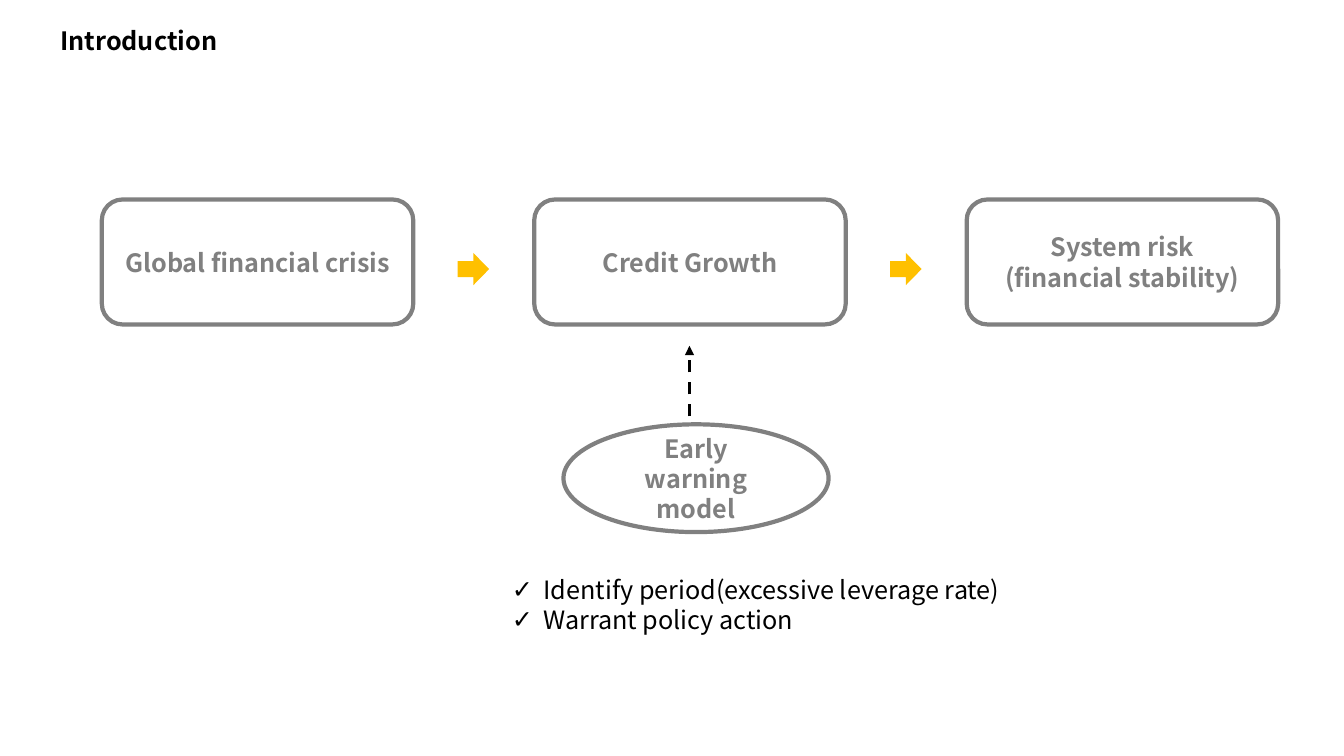
from dataclasses import dataclass

from lxml import etree
from pptx import Presentation
from pptx.dml.color import RGBColor
from pptx.enum.dml import MSO_LINE
from pptx.enum.shapes import MSO_CONNECTOR, MSO_SHAPE
from pptx.enum.text import MSO_ANCHOR, PP_ALIGN
from pptx.oxml.ns import qn
from pptx.util import Pt

ROUNDED, OVAL, ARROW = MSO_SHAPE.ROUNDED_RECTANGLE, MSO_SHAPE.OVAL, MSO_SHAPE.RIGHT_ARROW
STRAIGHT, DASH = MSO_CONNECTOR.STRAIGHT, MSO_LINE.DASH
LEFT, CENTER = PP_ALIGN.LEFT, PP_ALIGN.CENTER
TOP, MIDDLE = MSO_ANCHOR.TOP, MSO_ANCHOR.MIDDLE


@dataclass(frozen=True)
class Theme:
    font: str = "Noto Sans CJK KR"
    size: float = 18
    ink: RGBColor = RGBColor(0, 0, 0)
    frame: RGBColor = RGBColor(0x80, 0x80, 0x80)
    accent: RGBColor = RGBColor(0xFF, 0xC0, 0)
    frame_width: float = 3
    link_width: float = 2.25
    indent: float = 22.5


class SlideBuilder:
    def __init__(self, slide, theme):
        self.shapes = slide.shapes
        self.theme = theme

    def fill_text(self, frame, lines, color, bold, align=LEFT, anchor=TOP):
        frame.word_wrap = True
        frame.vertical_anchor = anchor
        font_format = {"name": self.theme.font, "size": Pt(self.theme.size), "bold": bold}
        for index, line in enumerate(lines):
            paragraph = frame.add_paragraph() if index else frame.paragraphs[0]
            paragraph.alignment = align
            run = paragraph.add_run()
            run.text = line
            for attribute, value in font_format.items():
                setattr(run.font, attribute, value)
            run.font.color.rgb = color

    def text(self, box, lines, bold=False):
        frame = self.shapes.add_textbox(*map(Pt, box)).text_frame
        self.fill_text(frame, lines, self.theme.ink, bold)
        return frame

    def checklist(self, box, items):
        indent = Pt(self.theme.indent)
        for paragraph in self.text(box, items).paragraphs:
            properties = paragraph._p.get_or_add_pPr()
            properties.set("marL", str(indent))
            properties.set("indent", str(-indent))
            etree.SubElement(properties, qn("a:buFont"), typeface="Arial")
            etree.SubElement(properties, qn("a:buChar"), char="✓")

    def framed(self, kind, box, lines):
        shape = self.shapes.add_shape(kind, *map(Pt, box))
        shape.shadow.inherit = False
        shape.fill.background()
        shape.line.color.rgb = self.theme.frame
        shape.line.width = Pt(self.theme.frame_width)
        self.fill_text(shape.text_frame, lines, self.theme.frame, True, CENTER, MIDDLE)

    def block_arrow(self, box):
        shape = self.shapes.add_shape(ARROW, *map(Pt, box))
        shape.shadow.inherit = False
        shape.fill.solid()
        shape.fill.fore_color.rgb = self.theme.accent
        shape.line.fill.background()

    def dashed_arrow(self, start, end):
        link = self.shapes.add_connector(STRAIGHT, *map(Pt, start + end))
        link.line.color.rgb = self.theme.ink
        link.line.width = Pt(self.theme.link_width)
        link.line.dash_style = DASH
        outline = link._element.spPr.find(qn("a:ln"))
        etree.SubElement(outline, qn("a:tailEnd"), type="triangle")
        etree.SubElement(link._element.spPr, qn("a:effectLst"))


def main():
    presentation = Presentation()
    presentation.slide_width, presentation.slide_height = Pt(960), Pt(540)
    slide = presentation.slides.add_slide(presentation.slide_layouts[6])
    builder = SlideBuilder(slide, Theme())

    builder.text((36, 14.4, 568, 28.8), ["Introduction"], bold=True)

    stages = [
        ["Global financial crisis"],
        ["Credit Growth"],
        ["System risk", "(financial stability)"],
    ]
    first_left, pitch = 72.7, 308.9
    for index, stage in enumerate(stages):
        left = first_left + index * pitch
        builder.framed(ROUNDED, (left, 142.5, 222.5, 89.3), stage)
        if index < len(stages) - 1:
            builder.block_arrow((left + 254.2, 180.7, 22.5, 23))

    builder.dashed_arrow((492.5, 297.4), (492.5, 247))
    builder.framed(OVAL, (402.5, 303.1, 189.4, 77), ["Early warning model"])
    builder.checklist(
        (358.6, 406.8, 534.2, 51.1),
        ["Identify period(excessive leverage rate)", "Warrant policy action"],
    )
    presentation.save("out.pptx")


if __name__ == "__main__":
    main()
